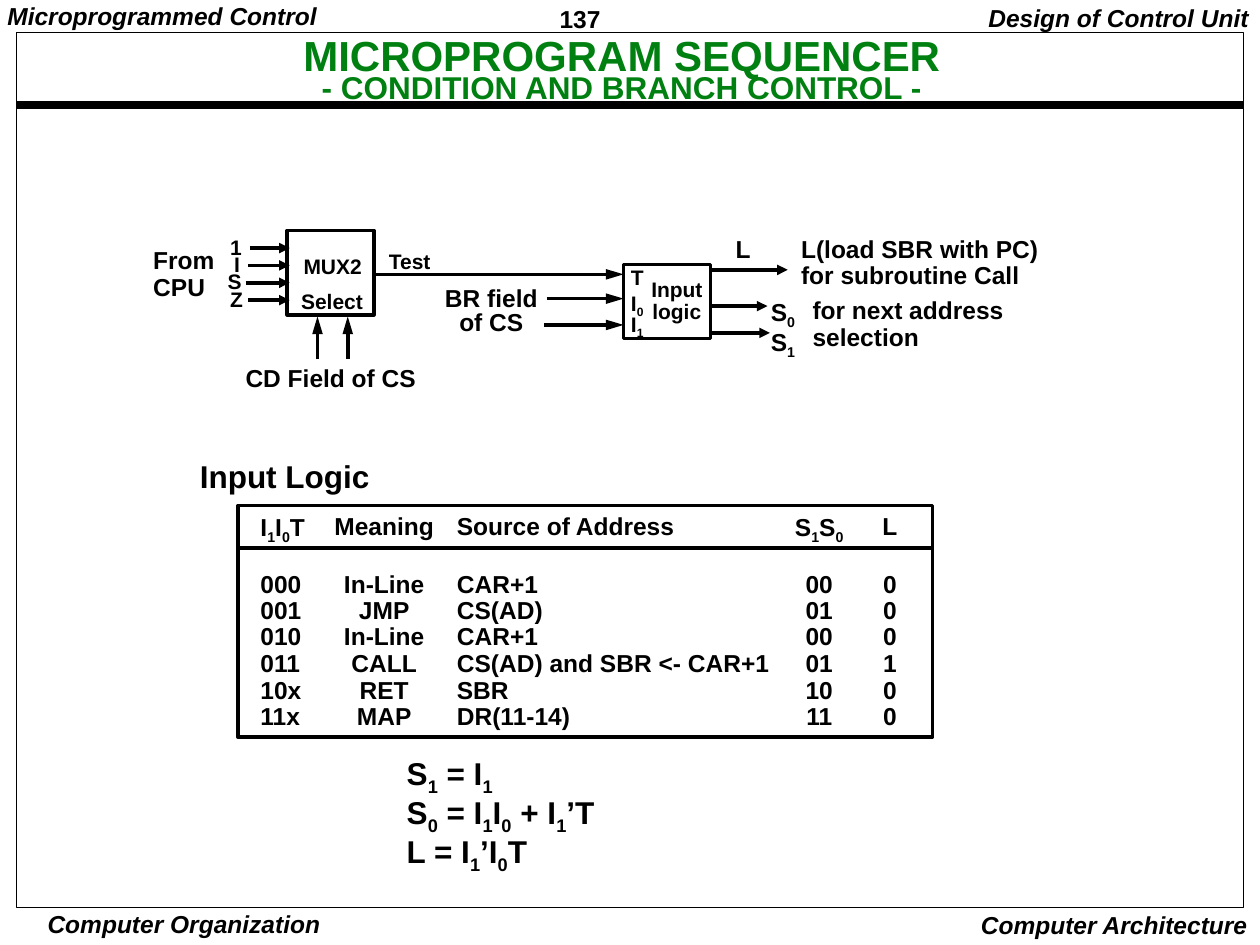
from copy import deepcopy
from dataclasses import dataclass

from lxml import etree
from pptx import Presentation
from pptx.dml.color import RGBColor
from pptx.enum import shapes, text
from pptx.oxml.ns import qn
from pptx.util import Cm, Pt

COLORS = {"ink": "000000", "title": "008011"}
LEFT, CENTER, RIGHT = text.PP_ALIGN.LEFT, text.PP_ALIGN.CENTER, text.PP_ALIGN.RIGHT
TOP, MIDDLE, BOTTOM = (text.MSO_ANCHOR.TOP, text.MSO_ANCHOR.MIDDLE,
                       text.MSO_ANCHOR.BOTTOM)


@dataclass
class Label:
    """Text box in cm; "_" puts the next character in subscript."""
    lines: str
    left: float
    top: float
    width: float
    height: float
    size: int = 14
    align: text.PP_ALIGN = LEFT
    spacing: float = 0.9
    italic: bool = False
    wrap: bool = False
    inset: tuple = (0.25, 0.13)


@dataclass
class Line:
    start: tuple
    end: tuple
    weight: float = 2
    head: str = ""  # arrowhead length: "med" or "lg"


@dataclass
class Box:
    left: float
    top: float
    width: float
    height: float
    weight: float = 2


@dataclass
class Column:
    width: float
    align: text.PP_ALIGN
    indent: float = 0


LABELS = [
    Label("Microprogrammed Control", -0.03, 0, 7.2, 0.69, italic=True, inset=(0.18, 0.08)),
    Label("137", 11.1, 0, 2.74, 0.74, spacing=1, inset=(0.18, 0.08)),
    Label("Design of Control Unit", 19.16, 0, 6.27, 0.79, align=RIGHT, italic=True),
    Label("Computer Organization", 0.59, 18.29, 6.24, 0.66, align=CENTER, spacing=1,
          italic=True, inset=(0.08, 0.03)),
    Label("Computer Architecture", 19.01, 18.21, 6.39, 0.84, align=RIGHT, spacing=1,
          italic=True),
    Label("From\nCPU", 2.84, 4.88, 1.88, 1.32),
    Label("MUX2", 5.87, 5.03, 1.68, 0.71, 12),
    Label("Select", 5.82, 5.74, 1.75, 0.71, 12),
    Label("Test", 7.59, 4.93, 1.37, 0.71, 12),
    Label("CD Field of CS", 4.7, 7.26, 3.94, 0.79, align=CENTER),
    Label("BR field\nof CS", 8.71, 5.69, 2.39, 1.19, align=CENTER, spacing=0.8),
    Label("T", 12.47, 5.26, 0.76, 0.71, 12),
    Label("I_0", 12.47, 5.74, 0.76, 0.76, 12),
    Label("I_1", 12.47, 6.15, 0.79, 0.76, 12),
    Label("Input", 12.88, 5.51, 1.55, 1.17, 12),
    Label("logic", 12.9, 5.94, 1.5, 0.71, 12),
    Label("L", 14.58, 4.65, 0.81, 0.79),
    Label("L(load SBR with PC) for subroutine Call", 15.9, 4.65, 5.64, 1.32, wrap=True),
    Label("S_0\nS_1", 15.29, 5.87, 0.99, 1.47),
    Label("for next address\nselection", 16.13, 5.89, 4.37, 1.32),
    Label("Input Logic", 3.78, 9.17, 3.94, 0.94, 18),
    Label("S_1 = I_1\nS_0 = I_1I_0 + I_1’T\nL = I_1’I_0T", 7.95, 15.09, 4.29, 2.59, 18),
]
MUX_INPUTS = [("1", 4.39, 5.03), ("I", 4.47, 5), ("S", 4.34, 4.95), ("Z", 4.39, 5)]
MUX_PITCH = 0.35
BOXES = [
    Box(0.33, 0.66, 24.74, 17.63, 0.5),
    Box(5.79, 4.65, 1.75, 1.7),
    Box(12.57, 5.33, 1.75, 1.5),
    Box(4.8, 10.19, 14, 4.67),
]
LINES = [
    Line((0.33, 2.11), (25.07, 2.11), 4.5),
    Line((4.83, 11.05), (18.8, 11.05)),
    Line((7.57, 5.53), (12.57, 5.53), head="lg"),
    Line((11.02, 6.02), (12.57, 6.02), head="lg"),
    Line((10.97, 6.55), (12.57, 6.55), head="lg"),
    Line((6.4, 7.24), (6.4, 6.38), head="lg"),
    Line((7.01, 7.24), (7.01, 6.38), head="lg"),
    Line((14.33, 5.44), (15.88, 5.44), head="med"),
    Line((14.33, 6.17), (15.47, 6.17), head="med"),
    Line((14.33, 6.71), (15.52, 6.71), head="med"),
]
COLUMNS = [Column(1.8, LEFT, 0.45), Column(2.29, CENTER), Column(6.76, LEFT, 0.32),
           Column(1.73, CENTER), Column(1.12, CENTER)]
ROW_HEIGHTS = [0.93, 0.94] + [0.54] * 4 + [0.64]
ROW_ANCHORS = [MIDDLE, BOTTOM] + [MIDDLE] * 4 + [TOP]
LOGIC_ROWS = [
    ("I_1I_0T", "Meaning", "Source of Address", "S_1S_0", "L"),
    ("000", "In-Line", "CAR+1", "00", "0"),
    ("001", "JMP", "CS(AD)", "01", "0"),
    ("010", "In-Line", "CAR+1", "00", "0"),
    ("011", "CALL", "CS(AD) and SBR <- CAR+1", "01", "1"),
    ("10x", "RET", "SBR", "10", "0"),
    ("11x", "MAP", "DR(11-14)", "11", "0"),
]


def add_run(paragraph, content: str, size: int, color="ink", italic=False, subscript=False):
    run = paragraph.add_run()
    run.text = content
    formats = {"name": "Arial", "size": Pt(size), "bold": True, "italic": italic}
    for name, value in formats.items():
        setattr(run.font, name, value)
    run.font.color.rgb = RGBColor.from_string(COLORS[color])
    if subscript:
        run._r.get_or_add_rPr().set("baseline", "-25000")
    return run


def write(paragraph, content: str, size: int, align, spacing=0.9, italic=False) -> None:
    paragraph.alignment, paragraph.line_spacing = align, spacing
    first, *rest = content.split("_")
    add_run(paragraph, first, size, italic=italic)
    for part in rest:
        add_run(paragraph, part[0], size, italic=italic, subscript=True)
        if part[1:]:
            add_run(paragraph, part[1:], size, italic=italic)


def set_margins(target, horizontal: float, vertical: float) -> None:
    target.margin_left = target.margin_right = Cm(horizontal)
    target.margin_top = target.margin_bottom = Cm(vertical)


def draw_label(slide, label: Label) -> None:
    shape = slide.shapes.add_textbox(Cm(label.left), Cm(label.top),
                                     Cm(label.width), Cm(label.height))
    frame = shape.text_frame
    frame.word_wrap = label.wrap
    frame.auto_size = text.MSO_AUTO_SIZE.NONE
    set_margins(frame, *label.inset)
    for index, line in enumerate(label.lines.split("\n")):
        paragraph = frame.add_paragraph() if index else frame.paragraphs[0]
        write(paragraph, line, label.size, label.align, label.spacing, label.italic)


def draw_box(slide, box: Box) -> None:
    shape = slide.shapes.add_shape(shapes.MSO_SHAPE.RECTANGLE, Cm(box.left), Cm(box.top),
                                   Cm(box.width), Cm(box.height))
    shape.shadow.inherit = False
    shape.fill.background()
    shape.line.color.rgb = RGBColor.from_string(COLORS["ink"])
    shape.line.width = Pt(box.weight)


def draw_line(slide, line: Line) -> None:
    connector = slide.shapes.add_connector(shapes.MSO_CONNECTOR.STRAIGHT,
                                           *map(Cm, line.start + line.end))
    connector.line.color.rgb = RGBColor.from_string(COLORS["ink"])
    connector.line.width = Pt(line.weight)
    if line.head:
        etree.SubElement(connector.line._get_or_add_ln(), qn("a:tailEnd"),
                         type="triangle", w="med", len=line.head)
    etree.SubElement(connector._element.spPr, qn("a:effectLst"))


def draw_title(slide) -> None:
    title = slide.shapes.title
    title.left, title.top, title.width, title.height = map(Cm, (2.26, 0.79, 20.55, 1.4))
    frame = title.text_frame
    frame.auto_size, frame.vertical_anchor = text.MSO_AUTO_SIZE.NONE, MIDDLE
    paragraph = frame.paragraphs[0]
    paragraph.alignment, paragraph.line_spacing = CENTER, 0.7
    heading = add_run(paragraph, "MICROPROGRAM SEQUENCER", 24, "title")
    paragraph.add_line_break()
    paragraph._p.find(qn("a:br")).append(deepcopy(heading._r.rPr))
    add_run(paragraph, "- CONDITION AND BRANCH CONTROL -", 18, "title")


def draw_logic_table(slide) -> None:
    width = sum(column.width for column in COLUMNS)
    table = slide.shapes.add_table(len(LOGIC_ROWS), len(COLUMNS), Cm(4.8), Cm(10.19),
                                   Cm(width), Cm(sum(ROW_HEIGHTS))).table
    table.first_row = table.horz_banding = False
    for index, column in enumerate(COLUMNS):
        table.columns[index].width = Cm(column.width)
    for r, row in enumerate(LOGIC_ROWS):
        table.rows[r].height = Cm(ROW_HEIGHTS[r])
        for c, (column, content) in enumerate(zip(COLUMNS, row)):
            cell = table.cell(r, c)
            cell.fill.background()
            cell.vertical_anchor = ROW_ANCHORS[r]
            set_margins(cell, 0, 0)
            cell.margin_left = Cm(column.indent)
            write(cell.text_frame.paragraphs[0], content, 14, column.align)


def main() -> None:
    presentation = Presentation()
    presentation.slide_width, presentation.slide_height = Cm(25.4), Cm(19.05)
    slide = presentation.slides.add_slide(presentation.slide_layouts[5])
    draw_title(slide)
    draw_logic_table(slide)
    for box in BOXES:
        draw_box(slide, box)
    for line in LINES:
        draw_line(slide, line)
    for index, (name, left, start) in enumerate(MUX_INPUTS):
        offset = index * MUX_PITCH
        draw_label(slide, Label(name, left, 4.65 + offset, 0.76, 0.71, 12))
        draw_line(slide, Line((start, 5 + offset), (5.84, 5 + offset), head="med"))
    for label in LABELS:
        draw_label(slide, label)
    presentation.save("out.pptx")


if __name__ == "__main__":
    main()
